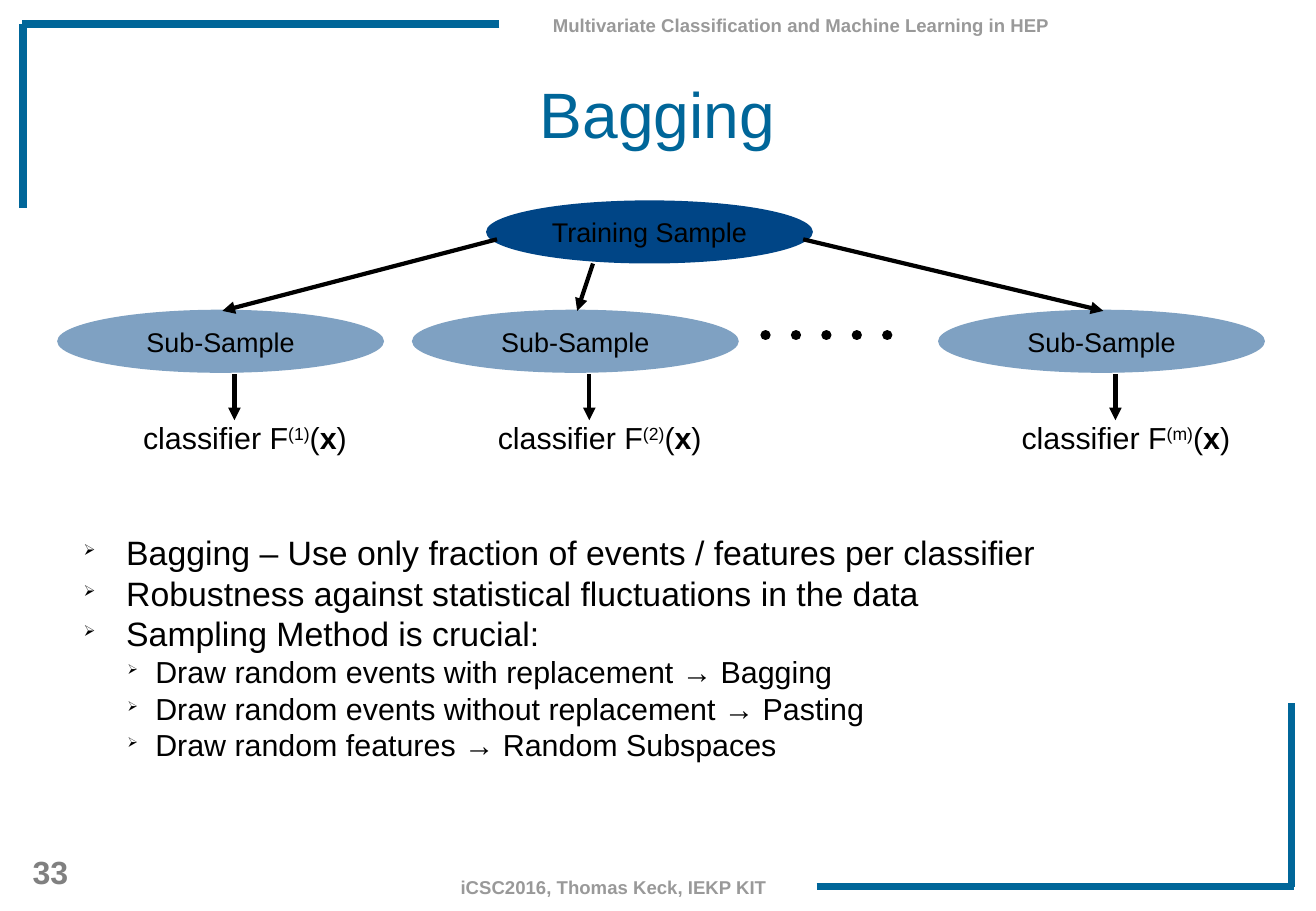
from dataclasses import dataclass

from pptx import Presentation
from pptx.dml.color import RGBColor
from pptx.enum.shapes import MSO_CONNECTOR, MSO_SHAPE
from pptx.enum.text import MSO_ANCHOR, PP_ALIGN
from pptx.oxml import parse_xml
from pptx.oxml.ns import nsdecls
from pptx.util import Inches, Pt


@dataclass(frozen=True)
class Theme:
    font: str = "Arial"
    accent: str = "006699"
    ellipse: str = "004586"
    ink: str = "000000"
    running: str = "999999"
    number: str = "808080"
    title_size: int = 38
    body_size: int = 20
    detail_size: int = 18
    node_size: int = 16
    number_size: int = 19
    running_size: int = 11
    frame_width: float = 4.5
    arrow_width: float = 2.5
    dot_width: float = 6


THEME = Theme()

# Content; all places and sizes are percentages of the slide's width and height
HEADER = "Multivariate Classification and Machine Learning in HEP"
FOOTER = "iCSC2016, Thomas Keck, IEKP KIT"
PAGE_NUMBER = "33"
TITLE = "Bagging"
BULLETS = [
    (0, "Bagging – Use only fraction of events / features per classifier"),
    (0, "Robustness against statistical fluctuations in the data"),
    (0, "Sampling Method is crucial:"),
    (1, "Draw random events with replacement → Bagging"),
    (1, "Draw random events without replacement → Pasting"),
    (1, "Draw random features → Random Subspaces"),
]
LEVELS = [(0.47, 0.35, THEME.body_size), (0.71, 0.23, THEME.detail_size)]
ROOT_CENTRE = 49.35
# Classifier index, centre of its ellipse, start of the arrow that leads to it
BRANCHES = [
    ("(1)", 16.76, (37.77, 26.27)),
    ("(2)", 43.72, (45.06, 28.93)),
    ("(m)", 83.7, (61.03, 26.27)),
]
FRAME = [
    ((98.15, 77.2), (98.15, 97.33)),
    ((62.05, 97.33), (98.34, 97.33)),
    ((1.75, 22.8), (1.75, 2.67)),
    ((37.95, 2.67), (1.66, 2.67)),
]
NODE_WIDTH, NODE_HEIGHT = 24.84, 6.93
ROOT_TOP, BRANCH_TOP = 22, 34
LABEL_WIDTH = 21.24

deck = Presentation()
deck.slide_width, deck.slide_height = Inches(10.83), Inches(7.5)
page = deck.slides.add_slide(deck.slide_layouts[6])


def place(x, y):
    return round(deck.slide_width * x / 100), round(deck.slide_height * y / 100)


def add_line(start, end, color, width, arrow=False, dotted=False):
    line = page.shapes.add_connector(MSO_CONNECTOR.STRAIGHT, *place(*start), *place(*end))
    line.line.color.rgb = RGBColor.from_string(color)
    line.line.width = Pt(width)
    outline = line.line._get_or_add_ln()
    if dotted:
        outline.set("cap", "rnd")
        outline.append(parse_xml(
            f'<a:custDash {nsdecls("a")}><a:ds d="100000" sp="200000"/></a:custDash>'))
    if arrow:
        outline.append(parse_xml(f'<a:tailEnd {nsdecls("a")} type="triangle"/>'))
    line._element.spPr.append(parse_xml(f'<a:effectLst {nsdecls("a")}/>'))


def write(para, text, size, color=THEME.ink, bold=False, baseline=0):
    span = para.add_run()
    span.text = text
    span.font.name = THEME.font
    span.font.size = Pt(size)
    span.font.bold = bold
    span.font.color.rgb = RGBColor.from_string(color)
    if baseline:
        span._r.get_or_add_rPr().set("baseline", str(baseline * 1000))


def add_text(box_area, text="", align=PP_ALIGN.LEFT, inset=False, middle=False,
             spacing=None, **style):
    left, top, width, height = box_area
    frame = page.shapes.add_textbox(*place(left, top), *place(width, height)).text_frame
    frame.word_wrap = True
    if not inset:
        frame.margin_left = frame.margin_right = frame.margin_top = frame.margin_bottom = 0
    frame.vertical_anchor = MSO_ANCHOR.MIDDLE if middle else MSO_ANCHOR.TOP
    para = frame.paragraphs[0]
    para.alignment = align
    if spacing:
        para.line_spacing = spacing
    if text:
        write(para, text, **style)
    return frame


def add_node(centre, top, text, opacity=100):
    node = page.shapes.add_shape(
        MSO_SHAPE.OVAL, *place(centre - NODE_WIDTH / 2, top), *place(NODE_WIDTH, NODE_HEIGHT))
    node.shadow.inherit = False
    node.fill.solid()
    node.fill.fore_color.rgb = RGBColor.from_string(THEME.ellipse)
    node.line.fill.background()
    if opacity < 100:
        color = node._element.spPr.find(".//{*}solidFill/{*}srgbClr")
        color.append(parse_xml(f'<a:alpha {nsdecls("a")} val="{opacity * 1000}"/>'))
    node.text_frame.vertical_anchor = MSO_ANCHOR.MIDDLE
    para = node.text_frame.paragraphs[0]
    para.alignment = PP_ALIGN.CENTER
    write(para, text, THEME.node_size)


def add_bullet(para, level):
    indent, hanging, size = LEVELS[level]
    para.level = level
    properties = para._p.get_or_add_pPr()
    properties.set("marL", str(Inches(indent)))
    properties.set("indent", str(-Inches(hanging)))
    for markup in (
        f'<a:buClr {nsdecls("a")}><a:srgbClr val="{THEME.ink}"/></a:buClr>',
        f'<a:buSzPct {nsdecls("a")} val="45000"/>',
        f'<a:buChar {nsdecls("a")} char="➢"/>',
    ):
        properties.append(parse_xml(markup))
    return size


# Frame lines, header, footer and page number
for start, end in FRAME:
    add_line(start, end, THEME.accent, THEME.frame_width)
running = dict(size=THEME.running_size, color=THEME.running, bold=True, spacing=0.93)
add_text((42.01, 1.73, 38.78, 2.4), HEADER, **running)
add_text((15.97, 96.4, 42.29, 2.4), FOOTER, align=PP_ALIGN.RIGHT, **running)
add_text((0, 94, 7.66, 4.13), PAGE_NUMBER, align=PP_ALIGN.CENTER, spacing=0.93,
         size=THEME.number_size, color=THEME.number, bold=True)

# Title
add_text((4.99, 4, 89.94, 16.67), TITLE, align=PP_ALIGN.CENTER, middle=True,
         size=THEME.title_size, color=THEME.accent)

# Tree from the training sample to the classifiers
add_node(ROOT_CENTRE, ROOT_TOP, "Training Sample")
for index, centre, start in BRANCHES:
    add_node(centre, BRANCH_TOP, "Sub-Sample", opacity=50)
    stem = centre + 1.06
    for tail, tip in ((start, (centre + 0.14, 34.13)), ((stem, 41.07), (stem, 46.13))):
        add_line(tail, tip, THEME.ink, THEME.arrow_width, arrow=True)
    label = add_text((centre + 1.85 - LABEL_WIDTH / 2, 46.27, LABEL_WIDTH, 5.33),
                     align=PP_ALIGN.CENTER, inset=True, spacing=0.75)
    for text, style in (("classifier F", {}), (index, {"baseline": 30}), ("(", {}),
                        ("x", {"bold": True}), (")", {})):
        write(label.paragraphs[0], text, THEME.detail_size, **style)
add_line((58.17, 36.8), (69.07, 36.8), THEME.ink, THEME.dot_width, dotted=True)

# Bullet list
body = add_text((4.34, 57.73, 92.34, 30.4), inset=True)
for number, (level, text) in enumerate(BULLETS):
    para = body.add_paragraph() if number else body.paragraphs[0]
    write(para, text, add_bullet(para, level))

deck.save("out.pptx")
